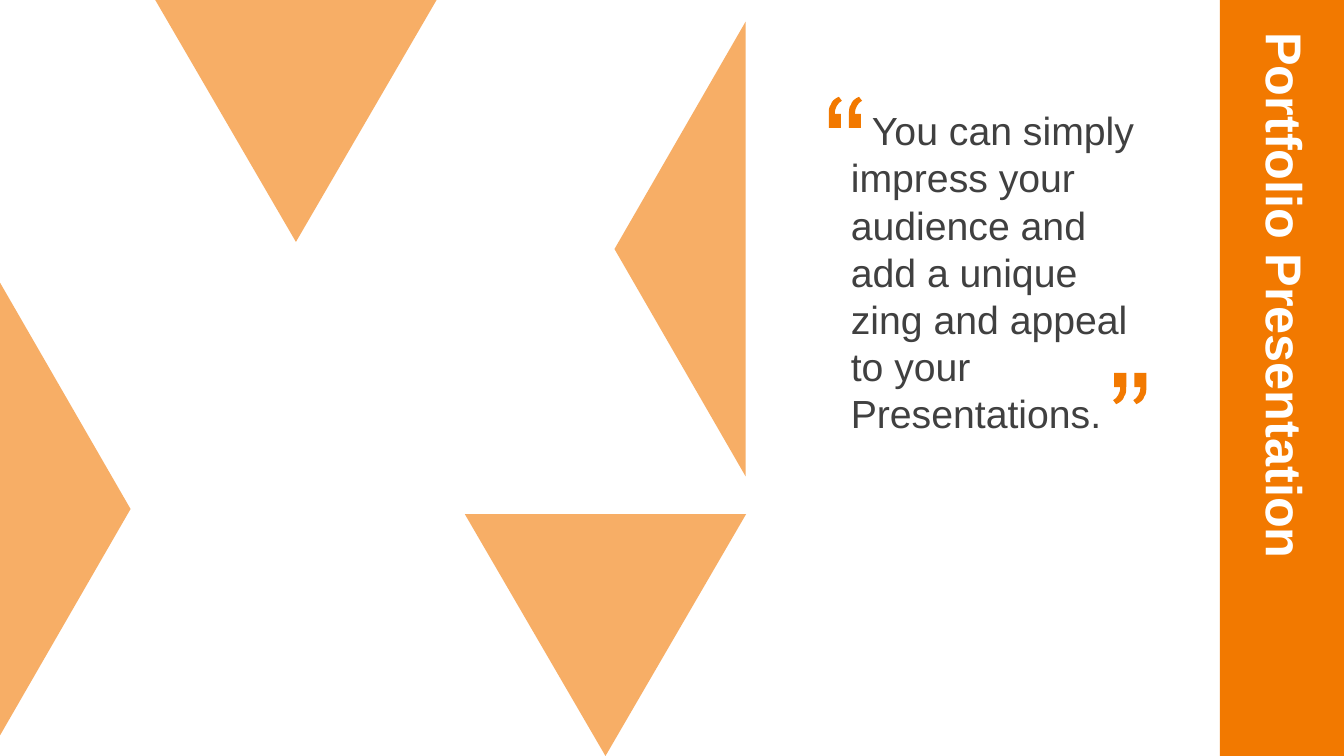
from dataclasses import dataclass
from itertools import islice

from lxml.etree import SubElement
from pptx import Presentation
from pptx.dml.color import RGBColor
from pptx.enum.shapes import MSO_SHAPE
from pptx.enum.text import MSO_ANCHOR, MSO_AUTO_SIZE, PP_ALIGN
from pptx.oxml.ns import qn
from pptx.util import Inches, Pt


@dataclass(frozen=True)
class Theme:
    accent: RGBColor = RGBColor(0xF2, 0x79, 0x00)
    white: RGBColor = RGBColor(0xFF, 0xFF, 0xFF)
    body: RGBColor = RGBColor(0x40, 0x40, 0x40)
    font: str = "Arial"
    title_size: Pt = Pt(36)
    quote_size: Pt = Pt(28)
    triangle_opacity: int = 60


THEME = Theme()

MARK_START = (0.30, 0)
MARK_SEGMENTS = [
    [(0.33, 0.04)],
    [(0.31, 0.05), (0.29, 0.07), (0.28, 0.09)],
    [(0.27, 0.11), (0.26, 0.13), (0.26, 0.17)],
    [(0.32, 0.17)],
    [(0.32, 0.31)],
    [(0.20, 0.31)],
    [(0.20, 0.20)],
    [(0.20, 0.14), (0.20, 0.10), (0.22, 0.08)],
    [(0.23, 0.04), (0.26, 0.02), (0.30, 0)],
]
MARK_SHIFTS = (0, -0.2)


def paint(sp, opacity=100):
    sp.shadow.inherit = False
    sp.fill.solid()
    sp.fill.fore_color.rgb = THEME.accent
    sp.line.fill.background()
    if opacity < 100:
        color = sp.element.spPr.find(qn("a:solidFill"))[0]
        SubElement(color, qn("a:alpha"), val=str(opacity * 1000))


def add_block(s, kind, left, top, width, height, rotation=0, opacity=100):
    sp = s.shapes.add_shape(
        kind, Inches(left), Inches(top), Inches(width), Inches(height))
    sp.rotation = rotation
    paint(sp, opacity)
    return sp


def style_font(p, size, color, bold=False):
    p.font.name = THEME.font
    p.font.size = size
    p.font.color.rgb = color
    p.font.bold = bold


def bend_curves(sp):
    outline = sp.element.find(".//" + qn("a:path"))
    lines = iter(outline.findall(qn("a:lnTo")))
    for segment in MARK_SEGMENTS * len(MARK_SHIFTS):
        nodes = list(islice(lines, len(segment)))
        if len(nodes) == 3:
            curve = SubElement(outline, qn("a:cubicBezTo"))
            nodes[0].addprevious(curve)
            for node in nodes:
                curve.append(node[0])
                outline.remove(node)


def add_quote_marks(shapes, left, top, rotation=0):
    builder = None
    for shift in MARK_SHIFTS:
        start, *points = [
            (Inches(x + shift), Inches(y))
            for x, y in [MARK_START] + sum(MARK_SEGMENTS, [])]
        if builder is None:
            builder = shapes.build_freeform(*start)
        else:
            builder.move_to(*start)
        builder.add_line_segments(points, close=True)
    sp = builder.convert_to_shape(Inches(left), Inches(top))
    bend_curves(sp)
    sp.rotation = rotation
    paint(sp)


def add_quote_text(shapes, text, left, top, width, height, indent):
    sp = shapes.add_textbox(
        Inches(left), Inches(top), Inches(width), Inches(height))
    tf = sp.text_frame
    tf.word_wrap = True
    tf.auto_size = MSO_AUTO_SIZE.SHAPE_TO_FIT_TEXT
    p = tf.paragraphs[0]
    p.text = text
    style_font(p, THEME.quote_size, THEME.body)
    pPr = p._p.get_or_add_pPr()
    pPr.set("marL", "0")
    pPr.set("indent", str(Inches(indent)))


def add_quote(s, text):
    shapes = s.shapes.add_group_shape().shapes
    add_quote_marks(shapes, 8.22, 0.96)
    add_quote_text(shapes, text, 8.34, 1.01, 3.15, 3.4, indent=0.21)
    add_quote_marks(shapes, 11.04, 3.7, rotation=180)


def add_side_title(s, text):
    title = s.shapes.title
    bar = add_block(s, MSO_SHAPE.RECTANGLE, 12.1, 0, 1.23, 7.5)
    title.element.addprevious(bar.element)
    title.left, title.top = Inches(9.17), Inches(3.24)
    title.width, title.height = Inches(7.06), Inches(1.02)
    title.rotation = 90
    tf = title.text_frame
    tf.word_wrap = True
    tf.auto_size = MSO_AUTO_SIZE.NONE
    tf.vertical_anchor = MSO_ANCHOR.MIDDLE
    p = tf.paragraphs[0]
    p.text = text
    p.alignment = PP_ALIGN.JUSTIFY
    p.line_spacing = 0.8
    style_font(p, THEME.title_size, THEME.white, bold=True)


def main():
    prs = Presentation()
    prs.slide_width, prs.slide_height = Inches(13.33), Inches(7.5)
    s = prs.slides.add_slide(prs.slide_layouts[5])

    wide, tall = (4.51, 1.3), (2.79, 2.4)
    for left, top, size, rotation in [
        (-1.61, 4.4, wide, 90),
        (1.54, 0, tall, 180),
        (4.61, 5.1, tall, 180),
        (4.49, 1.82, wide, 270),
    ]:
        add_block(s, MSO_SHAPE.ISOSCELES_TRIANGLE, left, top, *size,
                  rotation, THEME.triangle_opacity)

    add_side_title(s, "Portfolio Presentation")
    add_quote(s, "You can simply impress your audience and add a unique "
                 "zing and appeal to your Presentations.")
    prs.save("out.pptx")


if __name__ == "__main__":
    main()
